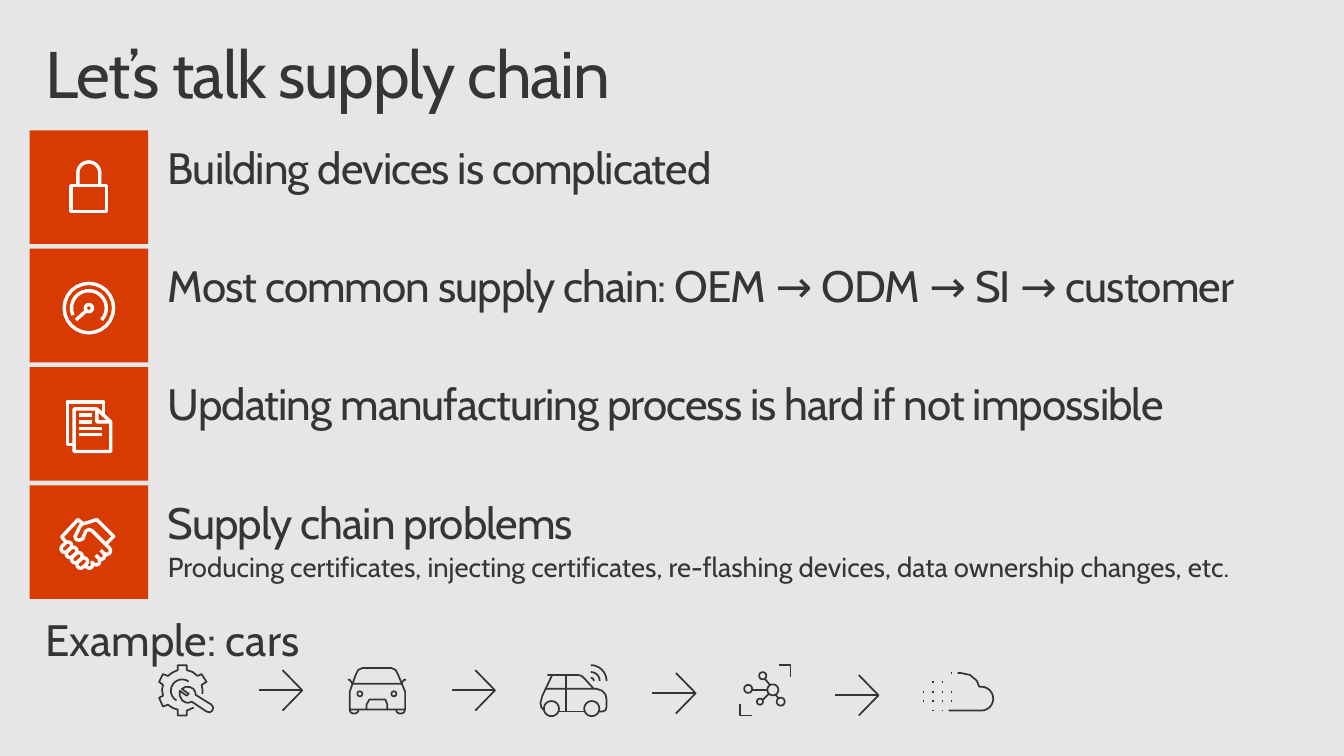
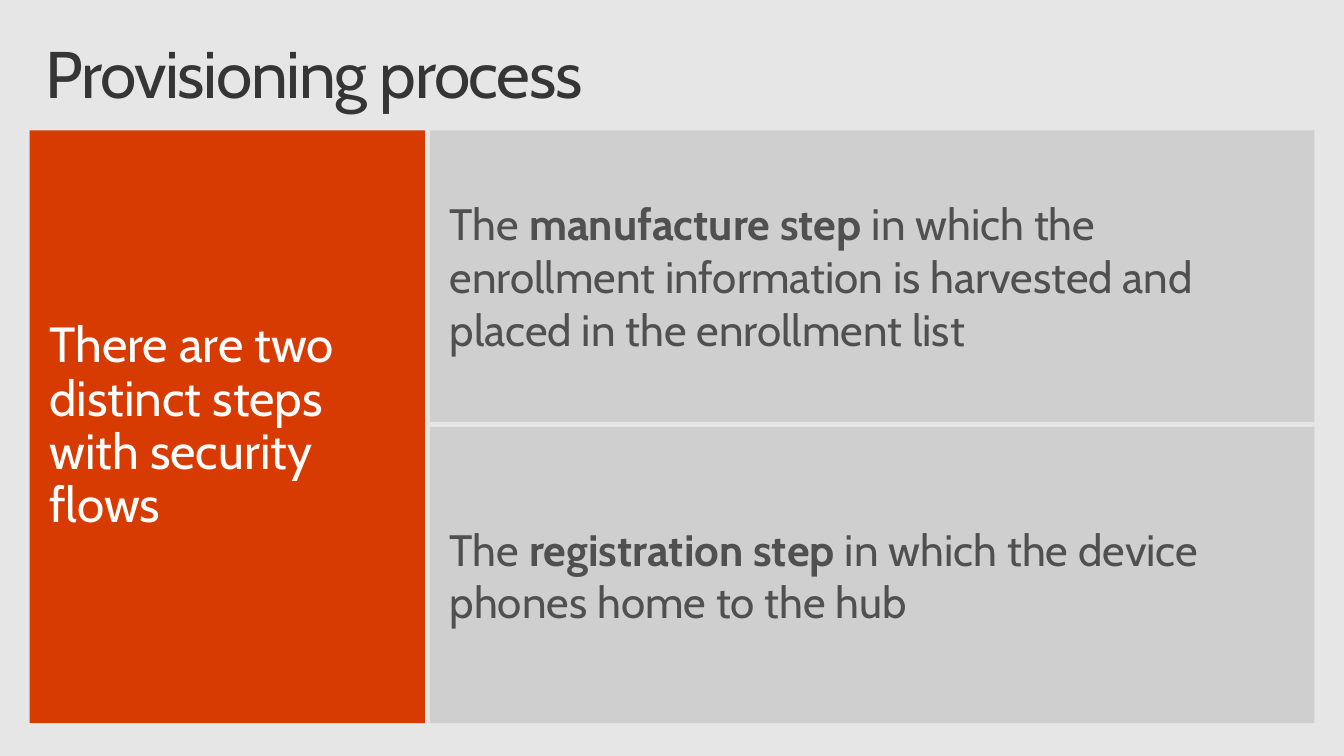
import math
import pptx
import pptx.dml.color
import pptx.enum.shapes
import pptx.enum.text
import pptx.oxml
import pptx.oxml.ns
import pptx.util

Pt = pptx.util.Pt
ANCHOR = pptx.enum.text.MSO_ANCHOR
HUES = {"page": "E6E6E6", "ink": "353535", "accent": "D83B01",
        "white": "FFFFFF", "body": "505050"}

# Shared layout and text styles, in points
LEFT, TOP, WIDE, GAP = 21.6, 95, 936, 3.6
SLIM = (11.5, 7.2)
ROOMY = (14.4, 11.5)
TITLE = {"size": 48, "hue": "ink", "track": -1}
HEAD = {"size": 32, "hue": "ink", "track": -0.7}
ARROW = {"size": 32, "hue": "ink"}
NOTE = {"size": 20, "hue": "ink"}
LEAD = {"size": 36, "hue": "white"}
BODY = {"size": 32, "hue": "body"}
BOLD = {**BODY, "bold": True}


def color(name):
    return pptx.dml.color.RGBColor.from_string(HUES[name])


def paint(fill, hue, alpha=None):
    fill.solid()
    fill.fore_color.rgb = color(hue)
    if alpha:
        tint = fill._xPr.find(".//" + pptx.oxml.ns.qn("a:srgbClr"))
        tint.append(pptx.oxml.parse_xml(
            f'<a:alpha {pptx.oxml.ns.nsdecls("a")} val="{alpha * 1000}"/>'))


# Text: each paragraph is a list of (text, style) runs
def write(shape, paras, inset, anchor=ANCHOR.TOP, pitch=0.9):
    frame = shape.text_frame
    side, edge = (Pt(v) for v in inset)
    form = {"word_wrap": True, "auto_size": pptx.enum.text.MSO_AUTO_SIZE.NONE,
            "vertical_anchor": anchor, "margin_left": side, "margin_right": side,
            "margin_top": edge, "margin_bottom": edge}
    for key, value in form.items():
        setattr(frame, key, value)
    for rank, runs in enumerate(paras):
        para = frame.add_paragraph() if rank else frame.paragraphs[0]
        form = {"alignment": pptx.enum.text.PP_ALIGN.LEFT, "line_spacing": pitch,
                "space_before": Pt(4 if rank else 0)}
        for key, value in form.items():
            setattr(para, key, value)
        for text, style in runs:
            run = para.add_run()
            run.text = text
            form = {"name": "Cabin", "size": Pt(style["size"]),
                    "bold": style.get("bold", False)}
            for key, value in form.items():
                setattr(run.font, key, value)
            run.font.color.rgb = color(style["hue"])
            if "track" in style:
                run.font._element.set("spc", str(round(style["track"] * 100)))


def place(shape, box):
    for key, value in zip(("left", "top", "width", "height"), box):
        setattr(shape, key, Pt(value))


def page(deck, title):
    slide = deck.slides.add_slide(deck.slide_layouts[5])
    place(slide.shapes.title, (LEFT, 23, WIDE, 72))
    write(slide.shapes.title, [[(title, TITLE)]], SLIM)
    return slide


def label(slide, box, paras, inset):
    write(slide.shapes.add_textbox(*map(Pt, box)), paras, inset)


def panel(slide, box, hue, alpha=None):
    shape = slide.shapes.add_shape(
        pptx.enum.shapes.MSO_SHAPE.RECTANGLE, *map(Pt, box))
    shape.shadow.inherit = False
    paint(shape.fill, hue, alpha)
    shape.line.fill.background()
    return shape


# Icon outlines: lists of strokes around a local origin
def arc(x, y, r, start=0, end=360):
    steps = max(4, round(abs(end - start) / 15))
    turns = [math.radians(start + (end - start) * i / steps)
             for i in range(steps + 1)]
    return [(x + r * math.cos(t), y + r * math.sin(t)) for t in turns]


def finger(x, y, r=2.6):
    ring = arc(x, y, r, 45, 225) + arc(x + 2.5, y - 2.3, r, 225, 405)
    return ring + ring[:1]


def draw(slide, at, strokes, hue="ink", weight=1.25):
    left, top = at
    paths = [[(Pt(left + x), Pt(top + y)) for x, y in stroke]
             for stroke in strokes]
    pen = slide.shapes.build_freeform(*paths[0][0], scale=1.0)
    for rank, points in enumerate(paths):
        if rank:
            pen.move_to(*points[0])
        pen.add_line_segments(points[1:], close=points[0] == points[-1])
    shape = pen.convert_to_shape()
    shape.shadow.inherit = False
    shape.fill.background()
    shape.line.color.rgb = color(hue)
    shape.line.width = Pt(weight)


def lock():
    return [[(0, 17.3), (25.9, 17.3), (25.9, 36), (0, 36), (0, 17.3)],
            [(20.9, 17.3), *arc(12.95, 8, 8, 0, -180), (5, 17.3)]]


def gauge():
    return [arc(0, 0, 18), arc(0, 0, 12.7, 156, 403), arc(0, 0, 2.6),
            [(-9.4, 8.6), (-2.2, 2.2)]]


def papers():
    rows = [(9.4, 18), (14.4, 18), (19.4, 25.2), (23.8, 25.2)]
    return [[(5, 31), (0, 31), (0, 0), (26.6, 0), (26.6, 9.4)],
            [(31.7, 14.4), (21.6, 14.4), (21.6, 5), (31.7, 14.4), (31.7, 36),
             (5, 36), (5, 5), (21.6, 5)],
            *[[(8.6, y), (end, y)] for y, end in rows]]


def hands():
    return [[(3.6, 16.6), (0.4, 12.6), (12.2, 0), (15.8, 2.9)],
            *[finger(2.5 + 3.85 * i, 21.2 + 3.85 * i) for i in range(4)],
            [(17.3, 33.8), (18.7, 34.6), (20.5, 35.6), (22.3, 34.6), (23, 32.8),
             (22.3, 31), (23.8, 32.4), (25.6, 33.1), (27.4, 32.4),
             (28.1, 30.2), (27.4, 28.1), (25.2, 25.9)],
            [(27.4, 28.1), (29.2, 29.2), (31, 28.1), (31.7, 26.3),
             (31, 24.5), (28.8, 22.3)],
            [(31, 24.5), (33.1, 25.6), (35.3, 24.5), (36, 22.7), (35.3, 20.9),
             (22.3, 7.9), (20.2, 7.2), (18, 8.3), (16.6, 11.5), (15.8, 14),
             (13, 15.1), (10.8, 14.4), (10.1, 12.2), (10.8, 10.8), (14.4, 3.6),
             (25.9, 0), (38.2, 12.2), (32.4, 18)]]


def gear():
    return [[(25.2, 31), (20.2, 33.1), (20.2, 36.7), (13.7, 36.7), (13.7, 32.4),
             (10, 31.2), (6.5, 28.8), (2.9, 30.2), (0, 23.8), (2.9, 22.3),
             (2.2, 18), (2.9, 14.4), (0, 12.2), (2.9, 6.5), (6.5, 7.9),
             (9.7, 5.4), (13.7, 3.6), (13.7, 0), (20.2, 0), (20.2, 3.6),
             (24.5, 5), (28.1, 7.9), (31, 6.5), (34.6, 12.2), (31, 14.4),
             (31.7, 18), (31.7, 20.9)],
            arc(16.8, 18.6, 8.2, 305, 120),
            [(23.8, 26.6), (34.6, 33.8), (37, 34.4), (38.9, 33.1), (39.4, 30.8),
             (38.2, 28.8), (26.6, 21.6), (26.4, 19.6), (25, 17.2), (22.3, 15.9),
             (19.4, 15.8), (16.6, 17.3), (21.6, 20.9), (20.2, 22.3),
             (15.1, 18.7), (15.1, 22.3), (17, 25.8), (19.4, 27.2),
             (21.6, 27.4), (23.8, 26.6)]]


def car():
    tire = [(1.4, 30.2), (1.8, 32), (3.6, 33.1), (5.8, 33.1), (7.4, 32),
            (7.9, 30.2)]
    return [[(41.8, 17.3), (41.8, 30.2), (1.4, 30.2), (1.4, 17.3), (5.8, 5),
             (7.6, 1.4), (10.8, 0), (31.7, 0), (34.9, 1.4), (36.7, 5),
             (41.8, 17.3)],
            arc(8.8, 18.8, 1.8), arc(33.6, 18.8, 1.8),
            tire, [(x + 33.8, y) for x, y in tire],
            [(28.8, 30.2), (28.8, 26.6), (27.4, 23), (15.8, 23), (13.7, 26.6),
             (13.7, 30.2)],
            [(0, 8.6), (1.4, 8.6), (3.6, 11.5), (38.9, 11.5), (41, 8.6),
             (42.5, 8.6)]]


def smart():
    return [[(3.6, 17.3), (41, 17.3), (45, 18.7), (47.5, 21.6), (48.2, 25.2),
             (48.2, 30.2), (47.5, 32.8), (45.4, 33.8), (41.8, 33.8)],
            arc(8, 31.7, 5.5), arc(37.4, 31.7, 5.5),
            [(8.6, 7.2), (1.4, 22.3), (0, 27.4), (0.7, 31), (2.9, 33.1)],
            [(38.9, 17.3), (31.7, 9.4), (29.8, 7.8), (27.4, 7.2), (5, 7.2)],
            [(32.4, 33.8), (13, 33.8)], [(18.7, 33.8), (18.7, 7.2)],
            *[arc(36.7, 11.5, r, 270, 360) for r in (2.2, 6.5, 11.5)]]


def nodes():
    rings = [(23.8, 18, 4), (29.5, 26.6, 2.9), (14.4, 26.6, 2.2),
             (5.8, 17.3, 2.9), (16.4, 7.7, 2.6)]
    return [[(28.1, 0), (36.7, 0), (36.7, 8.6)],
            [(0, 28.1), (0, 36.7), (8.6, 36.7)],
            *[arc(*ring) for ring in rings],
            [(18, 10), (21.6, 14.4)], [(28.1, 24.5), (25.9, 21.6)],
            [(16.6, 25.2), (20.9, 20.9)], [(8.6, 18), (20, 18)]]


def cloud():
    grid = [(2, 3), (1, 2, 3, 4), (1, 2, 3, 4), (0, 2, 3)]
    dots = [[(6.8 * col, 6.85 * row), (6.8 * col + 0.9, 6.85 * row)]
            for col, rows in enumerate(grid) for row in rows]
    return dots + [[(18.7, 27.4), *arc(42.5, 18.7, 8.7, 90, -90), (41, 10.1),
                    (39.2, 5.6), (34.2, 1.4), (27.4, 0), (25.2, 0)]]


def arrow():
    return [[(17.3, 0), (31.7, 14.75), (17.3, 29.5)],
            [(31.7, 14.75), (0, 14.75)]]


def supply(deck):
    slide = page(deck, "Let’s talk supply chain")
    label(slide, (LEFT, 443.5, WIDE, 50.4), [[("Example: cars", ARROW)]], SLIM)

    # Car example, left to right
    steps = [(gear, 115.9, 484.6), (arrow, 188.6, 488.2), (car, 253.4, 486.7),
             (arrow, 329, 488.2), (smart, 393.8, 484.6), (arrow, 475.2, 490.3),
             (nodes, 539.3, 484.6), (arrow, 608.4, 491.8), (cloud, 672.5, 490.3)]
    for icon, x, y in steps:
        draw(slide, (x, y), icon())

    # Points, each with an icon tile
    chain = [("Most common supply chain: OEM ", HEAD), ("→", ARROW),
             (" ODM ", HEAD), ("→", ARROW), (" SI ", HEAD), ("→", ARROW),
             (" customer", HEAD)]
    rows = [
        (lock, 51.8, 23, [[("Building devices is complicated", HEAD)]]),
        (gauge, 64.8, 43.3, [chain]),
        (papers, 49, 25.6, [[("Updating manufacturing process is hard "
                              "if not impossible", HEAD)]]),
        (hands, 44.6, 25, [[("Supply chain problems", HEAD)],
                           [("Producing certificates, injecting certificates, "
                             "re-flashing devices, data ownership changes, etc.",
                             NOTE)]])]
    for rank, (icon, x, drop, paras) in enumerate(rows):
        y = TOP + 86.2 * rank
        panel(slide, (LEFT, y, 86.4, 82.8), "accent")
        label(slide, (LEFT + 86.4, y, WIDE - 86.4, 86.4), paras, ROOMY)
        draw(slide, (x, y + drop), icon(), "white", 2.5)


def process(deck):
    slide = page(deck, "Provisioning process")
    side = panel(slide, (LEFT, TOP, 288, 432), "accent")
    write(side, [[("There are two distinct steps with security flows", LEAD)]],
          ROOMY, ANCHOR.MIDDLE)

    # Stacked step panels
    steps = [(212.4, "manufacture step", " in which the enrollment information "
              "is harvested and placed in the enrollment list"),
             (216, "registration step", " in which the device phones home "
              "to the hub")]
    x, y = LEFT + 288 + GAP, TOP
    for height, name, rest in steps:
        card = panel(slide, (x, y, LEFT + WIDE - x, height), "ink", 13)
        write(card, [[("The ", BODY), (name, BOLD), (rest, BODY)]],
              ROOMY, ANCHOR.MIDDLE, 1.0)
        y += height + GAP


def main():
    deck = pptx.Presentation()
    deck.slide_width, deck.slide_height = Pt(979.2), Pt(550.8)
    paint(deck.slide_master.background.fill, "page")
    supply(deck)
    process(deck)
    deck.save("out.pptx")


if __name__ == "__main__":
    main()
